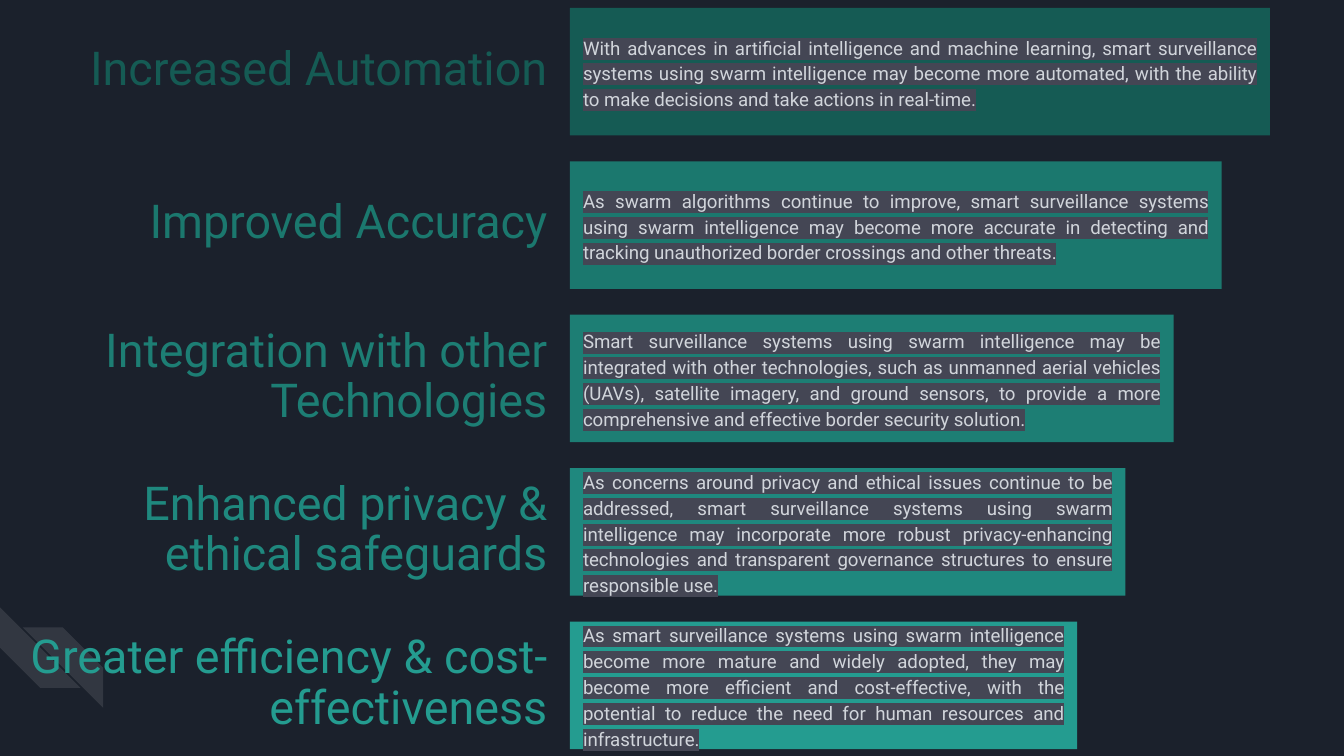
from lxml.etree import SubElement
from pptx import Presentation
from pptx.dml.color import RGBColor
from pptx.enum.shapes import MSO_SHAPE as Shape
from pptx.enum.text import MSO_ANCHOR as Anchor, PP_ALIGN as Align
from pptx.oxml import parse_xml
from pptx.oxml.ns import nsdecls, qn
from pptx.util import Cm, Pt

FONT = "Roboto"
COLORS = {"background": "1B212C", "body": "D1D5DB", "highlight": "444654", "stripe": "FFFFFF"}

# Heading, heading width (cm), colour, description
TRENDS = [
    ("Increased Automation", 11.23, "155B54",
     "With advances in artificial intelligence and machine learning, smart surveillance systems "
     "using swarm intelligence may become more automated, with the ability to make decisions and "
     "take actions in real-time."),
    ("Improved Accuracy", 11.86, "1B786E",
     "As swarm algorithms continue to improve, smart surveillance systems using swarm intelligence "
     "may become more accurate in detecting and tracking unauthorized border crossings and other "
     "threats."),
    ("Integration with other Technologies", 11.56, "1D7E74",
     "Smart surveillance systems using swarm intelligence may be integrated with other "
     "technologies, such as unmanned aerial vehicles (UAVs), satellite imagery, and ground "
     "sensors, to provide a more comprehensive and effective border security solution."),
    ("Enhanced privacy & ethical safeguards", 9.73, "1F887E",
     "As concerns around privacy and ethical issues continue to be addressed, smart surveillance "
     "systems using swarm intelligence may incorporate more robust privacy-enhancing technologies "
     "and transparent governance structures to ensure responsible use."),
    ("Greater efficiency & cost-effectiveness", 11.56, "249C90",
     "As smart surveillance systems using swarm intelligence become more mature and widely "
     "adopted, they may become more efficient and cost-effective, with the potential to reduce "
     "the need for human resources and infrastructure."),
]

# Layout (cm)
BAR_LEFT, BAR_TOP, BAR_WIDTH, BAR_HEIGHT = 10.77, 0.15, 13.23, 2.41
ROW_PITCH, WIDTH_STEP = 2.9, 0.91
HEADING_RIGHT, HEADING_OFFSET, HEADING_HEIGHT = 10.59, 0.15, 2.06
BODY_HEIGHT = 1.09
STRIPE_SIZE = 1.52

prs = Presentation()
prs.slide_width, prs.slide_height = Cm(25.4), Cm(14.29)
s = prs.slides.add_slide(prs.slide_layouts[6])
s.background.fill.solid()
s.background.fill.fore_color.rgb = RGBColor.from_string(COLORS["background"])


def add_block(kind, left, top, width, height, color):
    sp = s.shapes.add_shape(kind, Cm(left), Cm(top), Cm(width), Cm(height))
    sp.shadow.inherit = False
    sp.fill.solid()
    sp.fill.fore_color.rgb = RGBColor.from_string(color)
    sp.line.fill.background()
    return sp


def add_text(text, left, top, width, height, *, size, color, align, spacing, highlight=None):
    tf = s.shapes.add_textbox(Cm(left), Cm(top), Cm(width), Cm(height)).text_frame
    tf.word_wrap = True
    tf.vertical_anchor = Anchor.MIDDLE
    p = tf.paragraphs[0]
    p.alignment, p.line_spacing = align, spacing
    r = p.add_run()
    r.text = text
    r.font.name, r.font.size = FONT, Pt(size)
    r.font.color.rgb = RGBColor.from_string(color)
    if highlight:
        mark = parse_xml(f'<a:highlight {nsdecls("a")}><a:srgbClr val="{highlight}"/></a:highlight>')
        r.font._element.find(qn("a:solidFill")).addnext(mark)


# Corner stripes: one turned, one mirrored
for left, top, turn, mirrored in [(0, 11.48, 270, False), (0.43, 11.86, 0, True)]:
    sp = add_block(Shape.DIAGONAL_STRIPE, left, top, STRIPE_SIZE, STRIPE_SIZE, COLORS["stripe"])
    sp.adjustments[0] = 0.5
    sp.rotation = turn
    if mirrored:
        sp._element.spPr.find(qn("a:xfrm")).set("flipH", "1")
    tint = sp._element.spPr.find(qn("a:solidFill")).find(qn("a:srgbClr"))
    SubElement(tint, qn("a:alpha")).set("val", "10000")

# Rows: heading on the left, shrinking bar with description on the right
for i, (heading, heading_width, color, body) in enumerate(TRENDS):
    top = BAR_TOP + i * ROW_PITCH
    width = BAR_WIDTH - i * WIDTH_STEP
    add_text(heading, HEADING_RIGHT - heading_width, top + HEADING_OFFSET, heading_width,
             HEADING_HEIGHT, size=25, color=color, align=Align.RIGHT, spacing=0.9)
    add_block(Shape.RECTANGLE, BAR_LEFT, top, width, BAR_HEIGHT, color)
    add_text(body, BAR_LEFT, top + (BAR_HEIGHT - BODY_HEIGHT) / 2, width, BODY_HEIGHT, size=10,
             color=COLORS["body"], align=Align.JUSTIFY, spacing=1.15,
             highlight=COLORS["highlight"])

prs.save("out.pptx")
